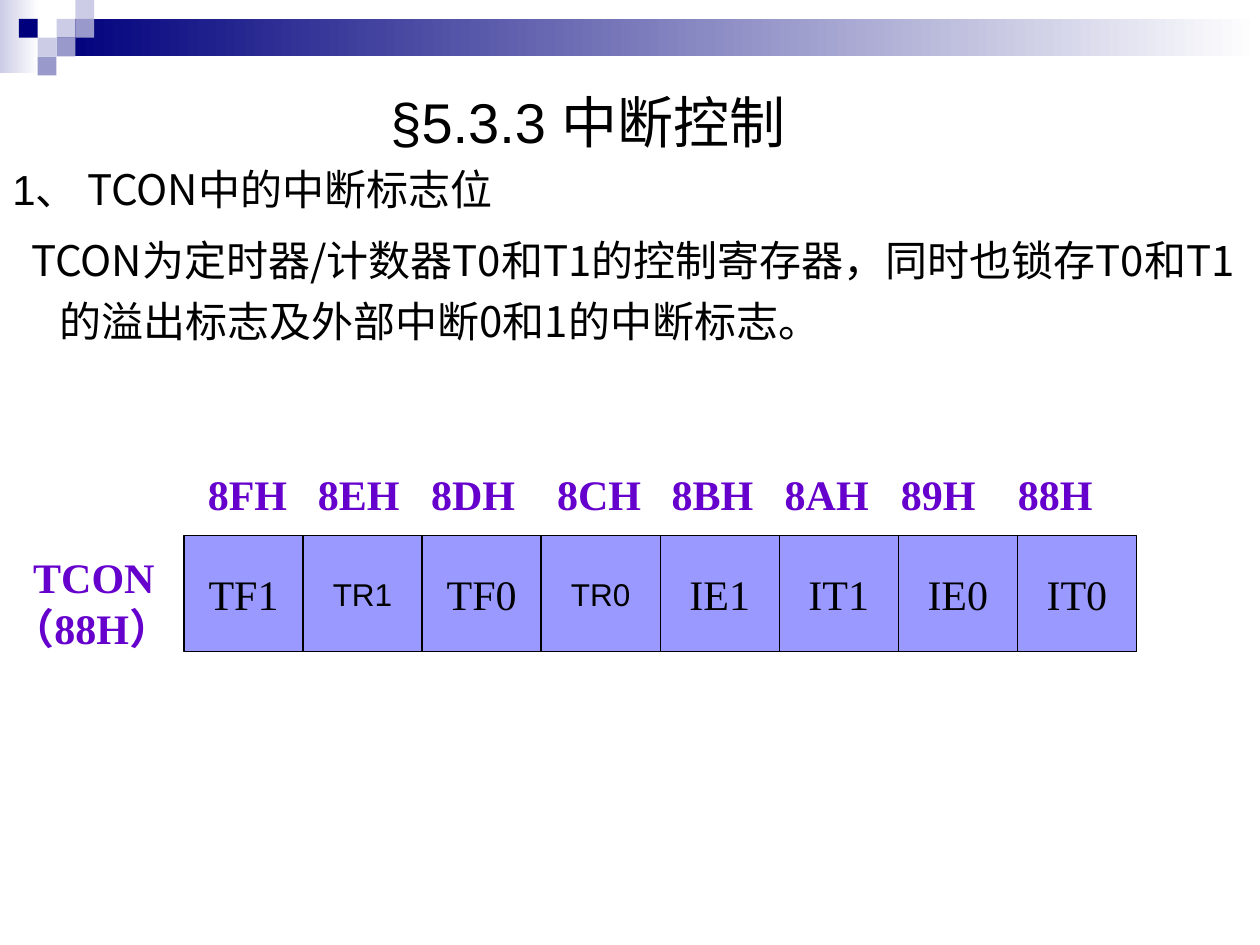
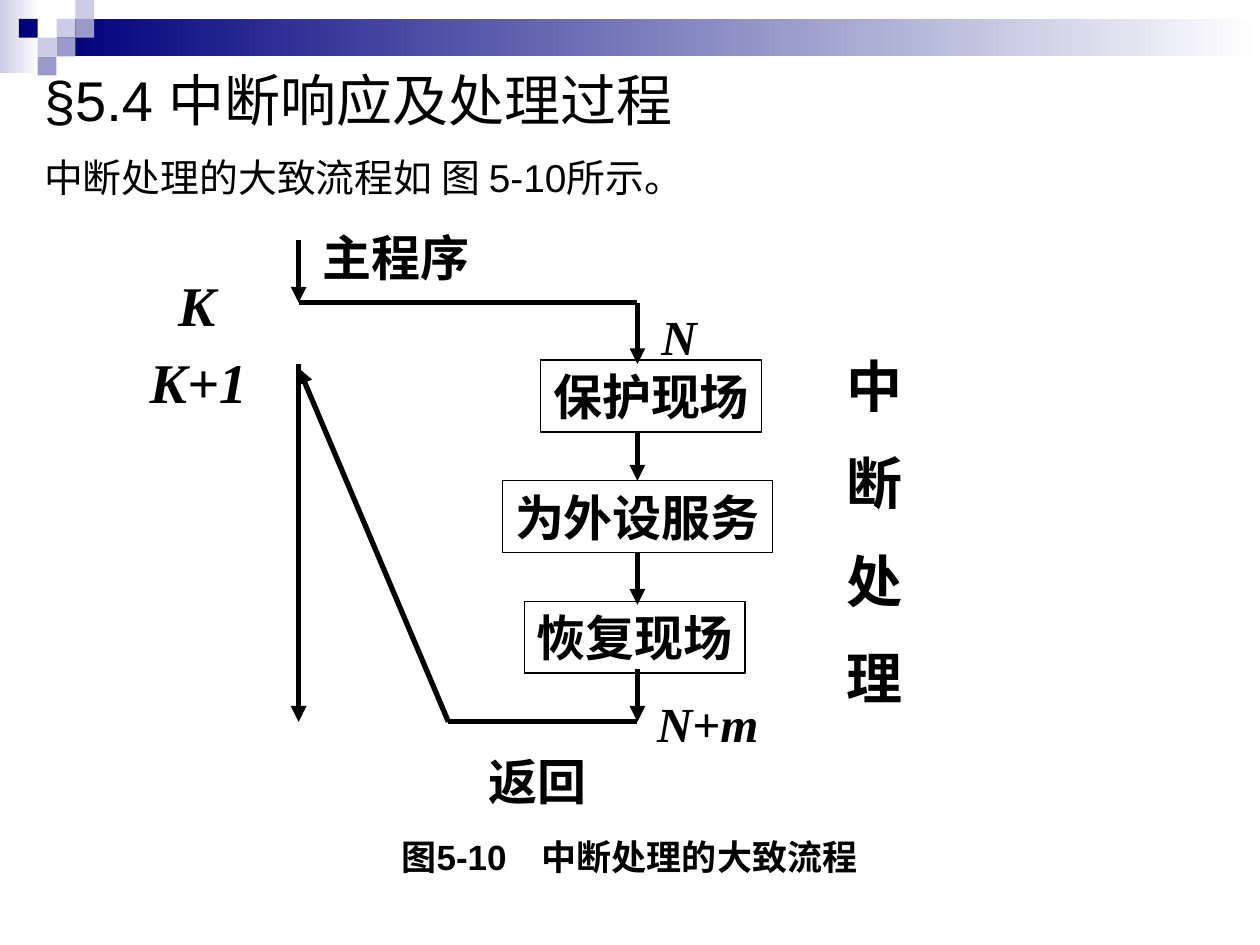
from dataclasses import dataclass

from lxml.etree import SubElement
from pptx import Presentation
from pptx.dml.color import RGBColor
from pptx.enum.shapes import MSO_CONNECTOR, MSO_SHAPE
from pptx.enum.text import MSO_ANCHOR, MSO_AUTO_SIZE, PP_ALIGN
from pptx.oxml.ns import qn
from pptx.util import Cm, Pt


@dataclass(frozen=True)
class Theme:
    navy: str = "00007D"
    lavender: str = "CCCCE6"
    periwinkle: str = "9999CC"
    cell: str = "9999FF"
    purple: str = "6600CC"
    black: str = "000000"
    white: str = "FFFFFF"
    sans: str = "Arial"
    serif: str = "Times New Roman"
    chinese: str = "Noto Sans CJK SC"
    title: float = 32
    label: float = 28
    body: float = 24
    intro: float = 22.2
    caption: float = 20
    small: float = 18
    hairline: float = 0.75
    arrow: float = 3


theme = Theme()

# Content: lengths in centimetres, boxes as left, top, width, height
TITLE_CONTROL = ("§5.3.3 中断控制", (0.43, 1.7, 22.86, 1.47))
TITLE_PROCESS = ("§5.4 中断响应及处理过程", (0.64, 1.27, 24.77, 1.47))

FLAG_HEADING = [("1、 ", theme.sans), ("TCON中的中断标志位", theme.chinese)]
FLAG_TEXT = ("TCON为定时器/计数器T0和T1的控制寄存器，同时也锁存T0和T1的"
             "溢出标志及外部中断0和1的中断标志。")
REGISTER_BITS = ["TF1", "TR1", "TF0", "TR0", "IE1", "IT1", "IE0", "IT0"]
BIT_ADDRESSES = ["8FH", "8EH", "8DH", "8CH", "8BH", "8AH", "89H", "88H"]
ADDRESS_TABS = [2.22, 4.5, 7.04, 9.35, 11.63, 13.97, 16.33]
REGISTER_NAME = ["TCON", "（88H）"]

INTRO = "中断处理的大致流程如 图 5-10所示。"
CAPTION = "图5-10　中断处理的大致流程"
SIDE_LABEL = "中 断 处 理"
# Step text, left, width
STEPS = [("保护现场", 10.9, 4.45), ("为外设服务", 10.13, 5.44), ("恢复现场", 10.57, 4.45)]
STEP_TOP, STEP_PITCH, STEP_HEIGHT = 7.26, 2.43, 1.45
# Runs (text, italic), size, box
FLOW_LABELS = [
    ([("主程序", False)], theme.label, (6.25, 4.45, 3.45, 1.45)),
    ([("N", True)], theme.label, (13.08, 6.05, 1.22, 1.45)),
    ([("K", True)], theme.title, (3.35, 5.31, 1.24, 1.63)),
    ([("N", True), ("+", False), ("m", True)], theme.label, (13, 13.84, 2.54, 1.45)),
    ([("K+1", True)], theme.title, (2.77, 6.86, 2.46, 1.63)),
    ([("返回", False)], theme.label, (9.6, 15.01, 2.46, 1.45)),
]
MAIN_X, RETURN_X, SERVICE_X = 6.02, 9.04, 12.85
BREAK_Y, RESUME_Y, RETURN_Y = 6.1, 7.34, 14.55
# Start, end, has arrowhead
FLOW_LINES = [
    ((MAIN_X, 4.83), (MAIN_X, BREAK_Y), True),
    ((MAIN_X, BREAK_Y), (SERVICE_X, BREAK_Y), False),
    ((SERVICE_X, BREAK_Y), (SERVICE_X, 7.34), True),
    ((SERVICE_X, 13.49), (SERVICE_X, RETURN_Y), True),
    ((SERVICE_X, RETURN_Y), (RETURN_X, RETURN_Y), False),
    ((MAIN_X, RESUME_Y), (MAIN_X, RETURN_Y), True),
    ((RETURN_X, RETURN_Y), (MAIN_X, 7.42), True),
]

# Header band: gradient bars (box, colour) and squares (column, row, colour)
HEADER_BARS = [((0, 0, 0.79, 1.47), theme.lavender), ((1.14, 0.38, 24.26, 0.76), theme.navy)]
SQUARE = 0.38
HEADER_SQUARES = [
    (3, 1, theme.lavender), (4, 0, theme.lavender), (4, 1, theme.periwinkle),
    (2, 2, theme.lavender), (1, 1, theme.navy), (3, 2, theme.periwinkle),
    (2, 3, theme.periwinkle),
]


def color(code):
    return RGBColor.from_string(code)


def style(span, size, font=theme.sans, ink=theme.black, bold=False, italic=False):
    span.font.size = Pt(size)
    span.font.bold = bold
    span.font.italic = italic
    span.font.color.rgb = color(ink)
    span.font.name = font
    SubElement(span.font._element, qn("a:ea"), typeface=theme.chinese)


def fill_para(para, text, size, align=PP_ALIGN.LEFT, **look):
    para.text = text
    para.alignment = align
    for span in para.runs:
        style(span, size, **look)


def set_indent(para, margin, first):
    properties = para._p.get_or_add_pPr()
    properties.set("marL", str(Cm(margin)))
    properties.set("indent", str(Cm(first)))


def add_text_box(page, place, anchor=MSO_ANCHOR.TOP, wrap=True):
    box = page.shapes.add_textbox(*map(Cm, place))
    box.text_frame.word_wrap = wrap
    box.text_frame.vertical_anchor = anchor
    return box


def add_rectangle(page, place, fill=None, outlined=False):
    box = page.shapes.add_shape(MSO_SHAPE.RECTANGLE, *map(Cm, place))
    box.shadow.inherit = False
    if fill:
        box.fill.solid()
        box.fill.fore_color.rgb = color(fill)
    else:
        box.fill.background()
    if outlined:
        box.line.color.rgb = color(theme.black)
        box.line.width = Pt(theme.hairline)
    else:
        box.line.fill.background()
    box.text_frame.word_wrap = False
    box.text_frame.vertical_anchor = MSO_ANCHOR.MIDDLE
    return box


def add_flow_line(page, start=(0, 0), end=(0, 0), arrow=True):
    line = page.shapes.add_connector(MSO_CONNECTOR.STRAIGHT, *map(Cm, start + end))
    line.line.color.rgb = color(theme.black)
    line.line.width = Pt(theme.arrow)
    if arrow:
        SubElement(line.line._get_or_add_ln(), qn("a:tailEnd"), type="triangle")
    SubElement(line._element.spPr, qn("a:effectLst"))
    return line


def add_page(deck, title, align):
    page = deck.slides.add_slide(deck.slide_layouts[6])
    # Header band
    for place, shade in HEADER_BARS:
        bar = add_rectangle(page, place, shade)
        bar.fill.gradient()
        bar.fill.gradient_angle = 0
        for stop, code in zip(bar.fill.gradient_stops, (shade, theme.white)):
            stop.color.rgb = color(code)
    for column, row, shade in HEADER_SQUARES:
        add_rectangle(page, (column * SQUARE, row * SQUARE, SQUARE, SQUARE), shade)
    # Title
    text, place = title
    box = add_text_box(page, place, MSO_ANCHOR.MIDDLE)
    fill_para(box.text_frame.paragraphs[0], text, theme.title, align)
    return page


def build_control_page(deck):
    page = add_page(deck, TITLE_CONTROL, PP_ALIGN.CENTER)

    # Explanation
    frame = add_text_box(page, (0, 2.97, 25.83, 5.08)).text_frame
    heading, detail = frame.paragraphs[0], frame.add_paragraph()
    for text, font in FLAG_HEADING:
        span = heading.add_run()
        span.text = text
        style(span, theme.body, font)
    fill_para(detail, FLAG_TEXT, theme.body, font=theme.chinese)
    for para, first in ((heading, -0.95), (detail, -0.57)):
        para.line_spacing = 1.2
        para.space_before = Pt(6)
        set_indent(para, 0.95, first)

    # Register bits
    width = 2.4
    for index, bit in enumerate(REGISTER_BITS):
        cell = add_rectangle(page, (3.71 + index * width, 10.8, width, 2.34), theme.cell, True)
        run_bit = bit.startswith("TR")
        fill_para(cell.text_frame.paragraphs[0], bit,
                  theme.small if run_bit else theme.body, PP_ALIGN.CENTER,
                  font=theme.sans if run_bit else theme.serif)

    # Register name and bit addresses
    purple = dict(font=theme.serif, ink=theme.purple, bold=True)
    frame = add_text_box(page, (0, 11, 3.84, 3.3)).text_frame
    frame.text = "\n".join(REGISTER_NAME)
    for para, text in zip(frame.paragraphs, REGISTER_NAME):
        fill_para(para, text, theme.body, **purple)
    set_indent(frame.paragraphs[0], 0, 0.42)

    box = add_text_box(page, (3.94, 9.32, 19.5, 1.27))
    para = box.text_frame.paragraphs[0]
    fill_para(para, "\t".join(BIT_ADDRESSES), theme.body, **purple)
    tabs = SubElement(para._p.get_or_add_pPr(), qn("a:tabLst"))
    for position in ADDRESS_TABS:
        SubElement(tabs, qn("a:tab"), pos=str(Cm(position)), algn="l")


def build_process_page(deck):
    page = add_page(deck, TITLE_PROCESS, PP_ALIGN.LEFT)
    strong = dict(align=PP_ALIGN.CENTER, font=theme.serif, bold=True)

    # Introduction
    para = add_text_box(page, (0.64, 2.97, 24.77, 1.27)).text_frame.paragraphs[0]
    fill_para(para, INTRO, theme.intro)
    para.space_before = Pt(6)
    set_indent(para, 0.95, -0.95)

    # Service steps
    steps = []
    for index, (text, left, width) in enumerate(STEPS):
        place = (left, STEP_TOP + index * STEP_PITCH, width, STEP_HEIGHT)
        step = add_rectangle(page, place, outlined=True)
        fill_para(step.text_frame.paragraphs[0], text, theme.label, **strong)
        steps.append(step)

    # Program flow
    for start, end, arrow in FLOW_LINES:
        add_flow_line(page, start, end, arrow)
    service = steps[1]
    incoming = add_flow_line(page, start=(SERVICE_X, 8.69))
    incoming.end_connect(service, 0)
    outgoing = add_flow_line(page, end=(SERVICE_X, 12.19))
    outgoing.begin_connect(service, 2)

    # Flow labels, with no side margins so each stays on one line
    for spans, size, place in FLOW_LABELS:
        frame = add_text_box(page, place, MSO_ANCHOR.MIDDLE, wrap=False).text_frame
        frame.auto_size = MSO_AUTO_SIZE.SHAPE_TO_FIT_TEXT
        frame.margin_left = frame.margin_right = 0
        para = frame.paragraphs[0]
        para.alignment = PP_ALIGN.CENTER
        for text, italic in spans:
            span = para.add_run()
            span.text = text
            style(span, size, theme.serif, bold=True, italic=italic)

    # Vertical side label, spread by character spacing
    box = add_text_box(page, (16.66, 6.98, 1.85, 7.09), MSO_ANCHOR.MIDDLE, wrap=False)
    frame = box.text_frame
    frame._txBody.bodyPr.set("vert", "eaVert")
    frame.margin_left = frame.margin_right = Cm(0.13)
    frame.margin_top = frame.margin_bottom = Cm(0.25)
    fill_para(frame.paragraphs[0], SIDE_LABEL, theme.title, **strong)
    frame.paragraphs[0].runs[0].font._element.set("spc", "800")

    # Caption
    box = add_text_box(page, (4.65, 16.71, 16.08, 1.12))
    fill_para(box.text_frame.paragraphs[0], CAPTION, theme.caption, PP_ALIGN.CENTER, bold=True)


def main():
    deck = Presentation()
    deck.slide_width, deck.slide_height = Cm(25.4), Cm(19.05)
    build_control_page(deck)
    build_process_page(deck)
    deck.save("out.pptx")


if __name__ == "__main__":
    main()
